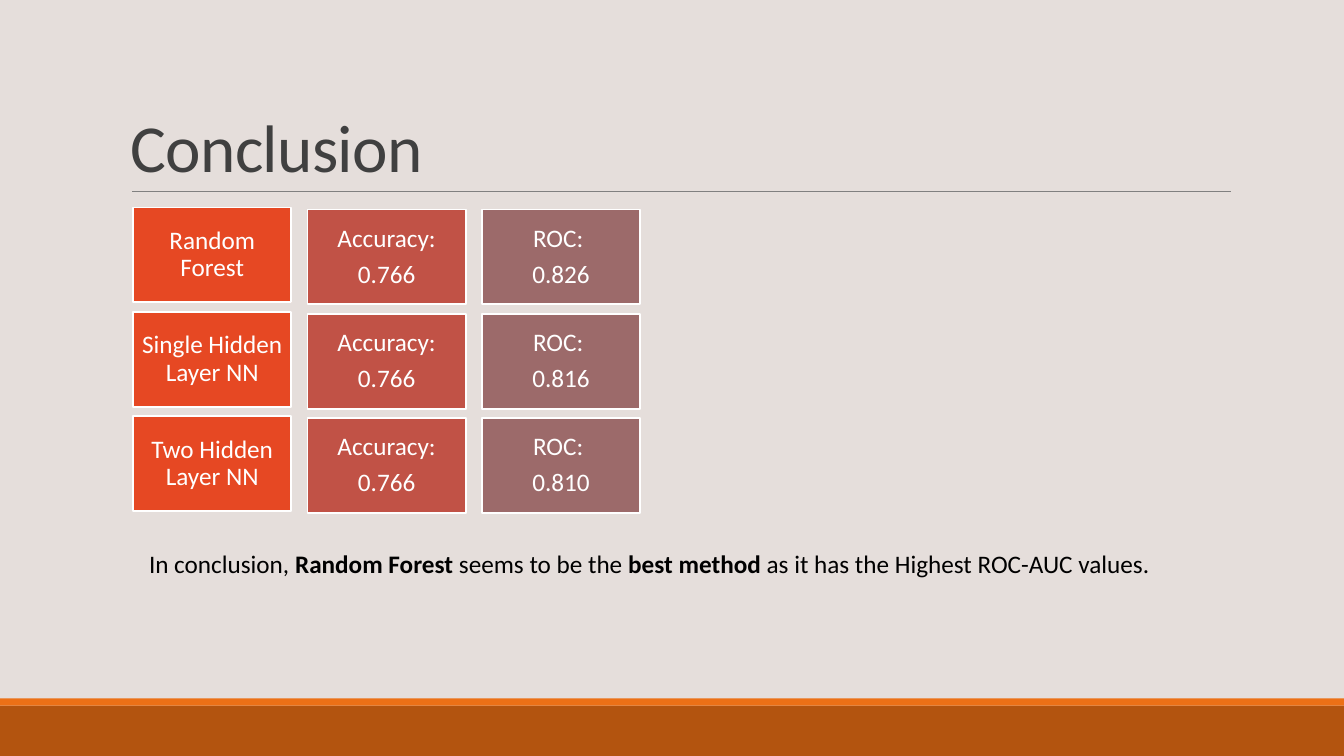
from lxml import etree
from pptx import Presentation
from pptx import util as u
from pptx.dml.color import RGBColor
from pptx.enum import shapes, text
from pptx.oxml.ns import qn

HUES = {
    "back": "E5DEDB", "foot": "B3540F", "strip": "EC7016", "rule": "808080",
    "title": "404040", "model": "E64823", "score": "C15246", "roc": "9C6A6A",
    "white": "FFFFFF", "black": "000000",
}
MODELS = [
    ("Random Forest", "0.766", "0.826"),
    ("Single Hidden Layer NN", "0.766", "0.816"),
    ("Two Hidden Layer NN", "0.766", "0.810"),
]
CLOSING = [
    ("In conclusion, ", False), ("Random Forest ", True),
    ("seems to be the ", False), ("best method ", True),
    ("as it has the Highest ROC-AUC values.", False),
]


def hue(name):
    """Return the named colour."""
    return RGBColor.from_string(HUES[name])


def add_run(para, words, size, color, bold=False):
    """Add one styled run to a paragraph and return it."""
    run = para.add_run()
    run.text = words
    run.font.name = "Calibri"
    run.font.size = u.Pt(size)
    run.font.bold = bold
    run.font.color.rgb = hue(color)
    return run


def add_rect(slide, box, fill, edge=None):
    """Draw a flat rectangle with an optional outline."""
    rect = slide.shapes.add_shape(shapes.MSO_SHAPE.RECTANGLE, *map(u.Inches, box))
    rect.shadow.inherit = False
    rect.fill.solid()
    rect.fill.fore_color.rgb = hue(fill)
    if edge:
        rect.line.color.rgb = hue(edge)
        rect.line.width = u.Pt(1.25)
    else:
        rect.line.fill.background()
    return rect


def add_foot(slide, box):
    """Draw the footer band with a thin strip along its top."""
    left, top, width, height = box
    strip = 0.07
    add_rect(slide, (left, top + strip, width, height - strip), "foot")
    add_rect(slide, (left, top, width, strip), "strip")


def add_title(slide, box):
    """Place the title and the rule beneath it."""
    left, top, width, height = box
    base = u.Inches(top + height)
    rule = slide.shapes.add_connector(
        shapes.MSO_CONNECTOR.STRAIGHT,
        u.Inches(left + 0.11), base, u.Inches(left + width + 0.01), base)
    rule.line.color.rgb = hue("rule")
    rule.line.width = u.Pt(0.5)
    etree.SubElement(rule.element.spPr, qn("a:effectLst"))
    frame = slide.shapes.add_textbox(*map(u.Inches, box)).text_frame
    frame.word_wrap = True
    frame.vertical_anchor = text.MSO_ANCHOR.BOTTOM
    para = frame.paragraphs[0]
    para.line_spacing = 0.85
    run = add_run(para, "Conclusion", 48, "title")
    run.font._element.set("spc", "-50")


def add_card(slide, box, fill, lines):
    """Draw one card with centred lines of text."""
    frame = add_rect(slide, box, fill, "white").text_frame
    frame.word_wrap = True
    frame.vertical_anchor = text.MSO_ANCHOR.MIDDLE
    frame.margin_left = frame.margin_right = u.Inches(0.07)
    frame.margin_top = frame.margin_bottom = u.Inches(0.07)
    for i, words in enumerate(lines):
        para = frame.add_paragraph() if i else frame.paragraphs[0]
        para.alignment = text.PP_ALIGN.CENTER
        para.line_spacing = 0.9
        para.space_after = u.Pt(6.3)
        add_run(para, words, 18, "white")


def add_grid(slide, box):
    """Place a row of three cards for each model."""
    left, top, width, height = box
    wide, high, drop = 1.57, 0.94, 0.02
    across = (width - wide) / 2
    down = (height - high - drop) / (len(MODELS) - 1)
    for row, (model, score, roc) in enumerate(MODELS):
        cards = [("model", [model]), ("score", ["Accuracy:", score]),
                 ("roc", ["ROC: ", roc])]
        for col, (fill, lines) in enumerate(cards):
            y = top + row * down + (drop if col else 0)
            add_card(slide, (left + col * across, y, wide, high), fill, lines)


def add_close(slide, box):
    """Place the closing sentence."""
    frame = slide.shapes.add_textbox(*map(u.Inches, box)).text_frame
    frame.word_wrap = True
    for words, bold in CLOSING:
        add_run(frame.paragraphs[0], words, 18, "black", bold)


def main():
    """Build and save the slide."""
    deck = Presentation()
    deck.slide_width, deck.slide_height = u.Inches(13.33), u.Inches(7.5)
    slide = deck.slides.add_slide(deck.slide_layouts[6])
    slide.background.fill.solid()
    slide.background.fill.fore_color.rgb = hue("back")
    add_foot(slide, (0, 6.93, 13.33, 0.57))
    add_title(slide, (1.2, 0.31, 11, 1.59))
    add_grid(slide, (1.32, 2.06, 5.03, 3.03))
    add_close(slide, (1.38, 5.39, 10.44, 0.4))
    deck.save("out.pptx")


if __name__ == "__main__":
    main()
